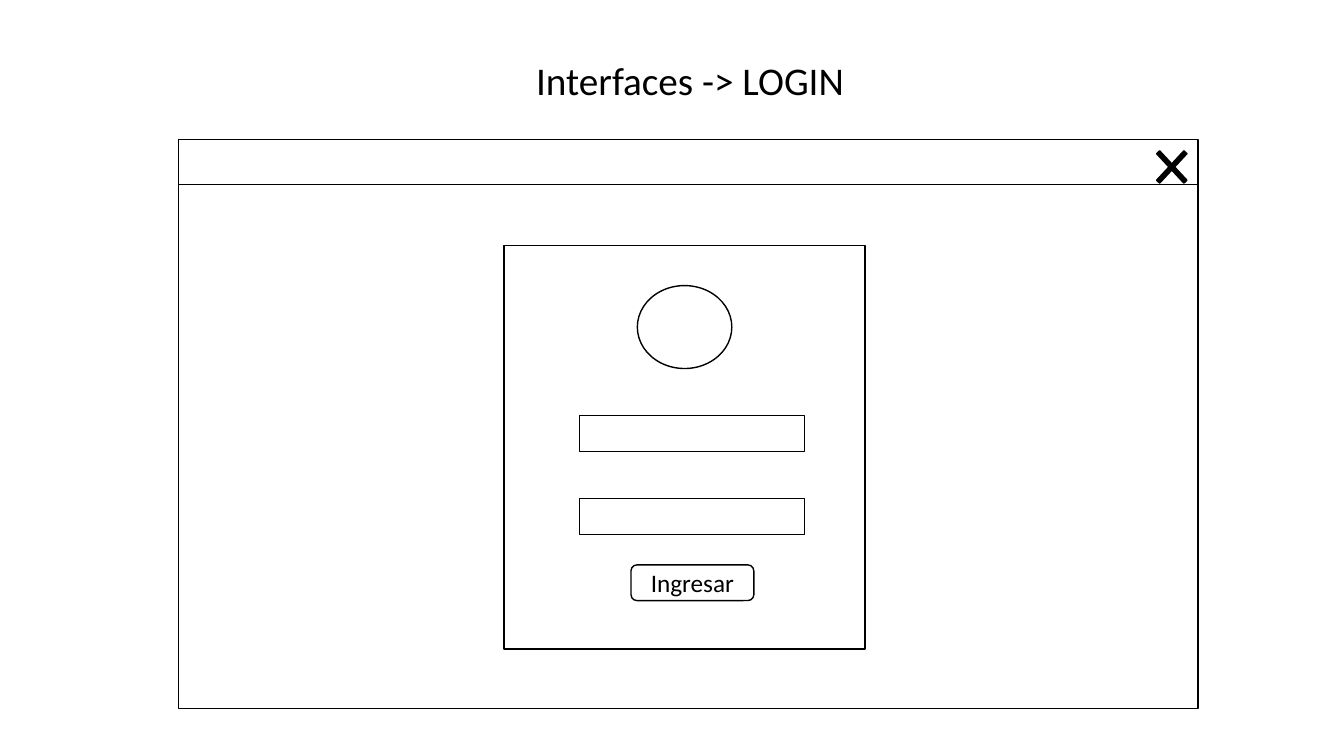
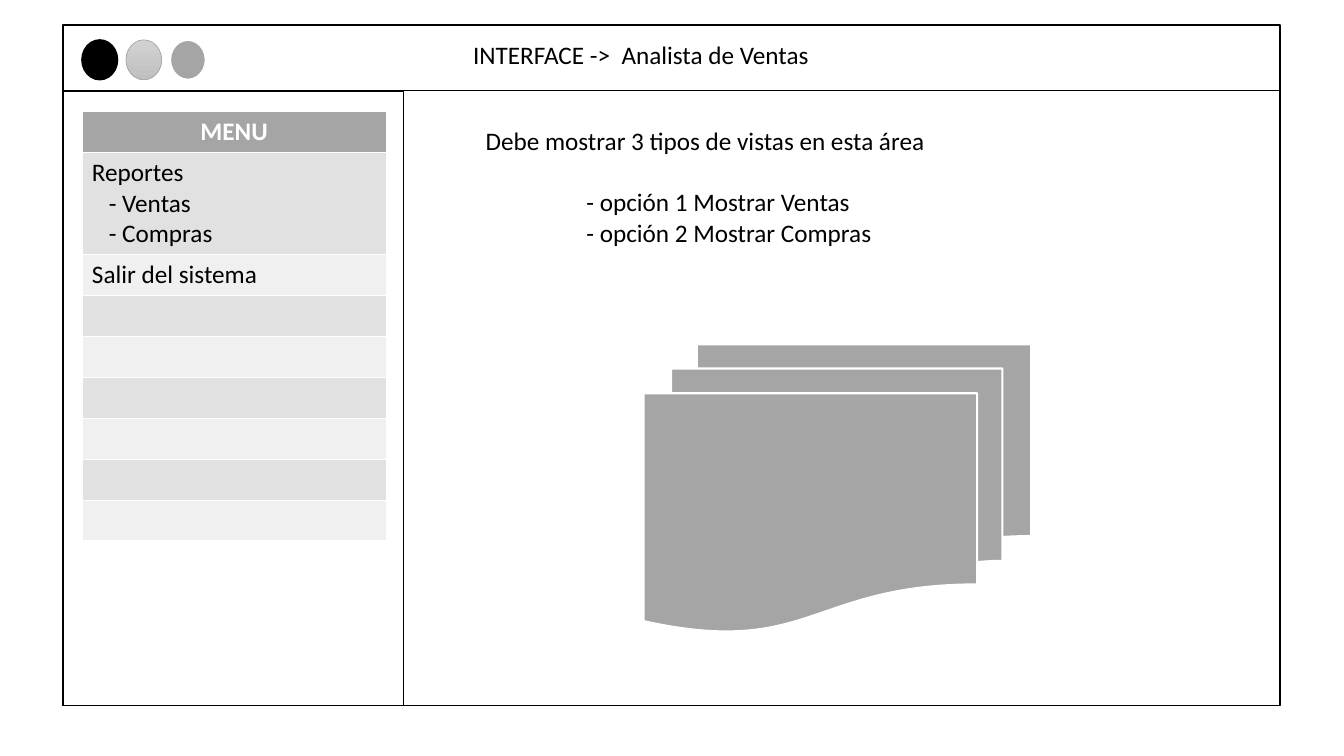
"""Build two wireframe slides: a login window and a sales analyst screen."""
import pptx
import pptx.util
import pptx.dml.color
import pptx.enum.shapes
import pptx.enum.text

RGB = pptx.dml.color.RGBColor
BLACK = RGB(0x00, 0x00, 0x00)
WHITE = RGB(0xFF, 0xFF, 0xFF)
GRAY = RGB(0xA5, 0xA5, 0xA5)
PALE = RGB(0xD2, 0xD2, 0xD2)
DUSK = RGB(0xC0, 0xC0, 0xC0)
BANDS = [RGB(0xE1, 0xE1, 0xE1), RGB(0xF0, 0xF0, 0xF0)]
FONT = "Calibri"
PX = 9525
KIND = pptx.enum.shapes.MSO_SHAPE
ALIGN = pptx.enum.text.PP_ALIGN
MIDDLE = pptx.enum.text.MSO_ANCHOR.MIDDLE


def draw(slide, kind, box, fill=WHITE, line=BLACK, width=1):
    shape = slide.shapes.add_shape(kind, *[n * PX for n in box])
    shape.shadow.inherit = False
    shape.fill.solid()
    shape.fill.fore_color.rgb = fill
    shape.line.color.rgb = line
    shape.line.width = pptx.util.Pt(width)
    return shape


def write(para, text, size=18, color=BLACK, bold=False, align=ALIGN.LEFT):
    para.alignment = align
    run = para.add_run()
    run.text = text
    run.font.name = FONT
    run.font.size = pptx.util.Pt(size)
    run.font.bold = bold
    run.font.color.rgb = color


deck = pptx.Presentation()
deck.slide_width = 1280 * PX
deck.slide_height = 720 * PX
layout = deck.slide_layouts[5]
login = deck.slides.add_slide(layout)
sales = deck.slides.add_slide(layout)

for box in [
    (170, 138, 971, 537),
    (170, 133, 971, 43),
    (480, 234, 344, 384),
    (552, 396, 214, 34),
    (552, 475, 214, 34),
]:
    draw(login, KIND.RECTANGLE, box)
close = draw(login, KIND.MATH_MULTIPLY, (1091, 132, 50, 54), BLACK)
close.adjustments[0] = 0.08
button = draw(login, KIND.ROUNDED_RECTANGLE, (601, 538, 117, 34))
button.text_frame.vertical_anchor = MIDDLE
write(button.text_frame.paragraphs[0], "Ingresar", align=ALIGN.CENTER)
draw(login, KIND.OVAL, (607, 272, 90, 79))

for box in [(60, 25, 1159, 647), (60, 87, 324, 585), (60, 24, 1159, 62)]:
    draw(sales, KIND.RECTANGLE, box)

menu = [
    ["MENU"],
    ["Reportes", "- Ventas", "- Compras"],
    ["Salir del sistema"],
] + [[]] * 6
table = sales.shapes.add_table(
    len(menu), 1, 78 * PX, 106 * PX, 290 * PX, 409 * PX).table
for i, lines in enumerate(menu):
    table.rows[i].height = (97 if len(lines) > 1 else 39) * PX
    cell = table.cell(i, 0)
    cell.fill.solid()
    cell.fill.fore_color.rgb = BANDS[(i + 1) % 2] if i else GRAY
    frame = cell.text_frame
    for j, text in enumerate(lines):
        para = frame.add_paragraph() if j else frame.paragraphs[0]
        if i:
            write(para, text)
        else:
            write(para, text, 18, WHITE, True, ALIGN.CENTER)
        if j:
            para._p.get_or_add_pPr().set("marL", str(16 * PX))

dots = [(BLACK, BLACK, 1), (PALE, GRAY, 0.5), (GRAY, WHITE, 1.5)]
for i, (fill, line, width) in enumerate(dots):
    box = (78 + 42 * i, 38, 34, 38)
    dot = draw(sales, KIND.FLOWCHART_CONNECTOR, box, fill, line, width)
    if fill == PALE:
        dot.fill.gradient()
        dot.fill.gradient_angle = 270
        for stop, color in zip(dot.fill.gradient_stops, [PALE, DUSK]):
            stop.color.rgb = color

notes = sales.shapes.add_textbox(453 * PX, 115 * PX, 688 * PX, 126 * PX)
frame = notes.text_frame
frame.word_wrap = True
write(frame.paragraphs[0], "Debe mostrar 3 tipos de vistas en esta área")
for i, text in enumerate(["opción 1 Mostrar Ventas", "opción 2 Mostrar Compras"]):
    para = frame.add_paragraph()
    para._p.get_or_add_pPr().set("marL", str(96 * PX))
    para.space_before = pptx.util.Pt(0 if i else 22)
    write(para, "- " + text)
draw(sales, KIND.FLOWCHART_MULTIDOCUMENT, (613, 328, 369, 274), GRAY, WHITE, 1.5)

for slide, text, size, box in [
    (login, "Interfaces -> LOGIN", 28, (501, 49, 316, 55)),
    (sales, "INTERFACE ->  Analista de Ventas", 18, (441, 33, 343, 38)),
]:
    title = slide.shapes.title
    title.left, title.top, title.width, title.height = [n * PX for n in box]
    frame = title.text_frame
    frame.word_wrap = False
    frame.auto_size = pptx.enum.text.MSO_AUTO_SIZE.NONE
    frame.vertical_anchor = MIDDLE
    write(frame.paragraphs[0], text, size)
    title.element.getparent().append(title.element)

deck.save("out.pptx")
